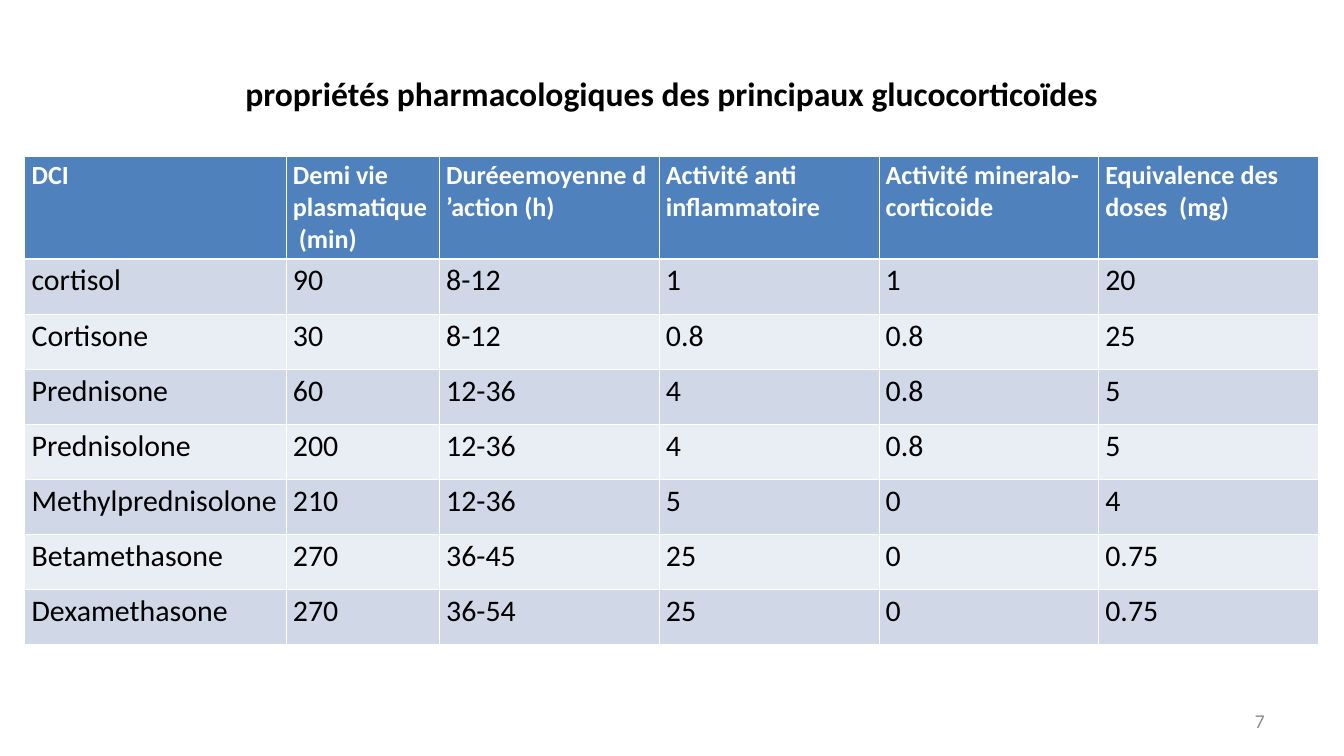
from dataclasses import dataclass

from lxml import etree
from pptx import Presentation
from pptx.dml.color import RGBColor
from pptx.enum.text import MSO_ANCHOR, MSO_AUTO_SIZE, PP_ALIGN
from pptx.oxml.ns import qn
from pptx.util import Inches, Pt

MIDDLE = MSO_ANCHOR.MIDDLE
NO_FIT = MSO_AUTO_SIZE.NONE
LEFT, CENTER, RIGHT = PP_ALIGN.LEFT, PP_ALIGN.CENTER, PP_ALIGN.RIGHT

GRID_COLUMNS = 20  # the slide is 20 square units wide


@dataclass(frozen=True)
class Theme:
    font: str = "Calibri"
    ink: str = "000000"
    paper: str = "FFFFFF"
    muted: str = "8C8C8C"
    header: str = "4F81BD"
    bands: tuple = ("D0D8E8", "E9EDF4")
    title_size: int = 36
    header_size: int = 28
    body_size: int = 32
    number_size: int = 21
    rule: int = 1
    header_rule: int = 3


class SlideBuilder:
    def __init__(self, deck, theme):
        self.theme = theme
        self.unit = deck.slide_width / GRID_COLUMNS
        self.slide = deck.slides.add_slide(deck.slide_layouts[5])

    def span(self, units):
        return round(units * self.unit)

    def set_text(self, frame, text, size, color, bold=False, align=LEFT):
        frame.text = text
        paragraph = frame.paragraphs[0]
        paragraph.alignment = align
        font = paragraph.font
        font.name, font.size, font.bold = self.theme.font, Pt(size), bold
        font.color.rgb = RGBColor.from_string(color)

    def inset(self, frame):
        frame.word_wrap = True
        frame.auto_size = NO_FIT
        frame.vertical_anchor = MIDDLE
        frame.margin_left = frame.margin_right = self.span(0.18)
        frame.margin_top = frame.margin_bottom = self.span(0.09)

    def title(self, text, left, top, width, height):
        heading = self.slide.shapes.title
        heading.left, heading.top = self.span(left), self.span(top)
        heading.width, heading.height = self.span(width), self.span(height)
        self.inset(heading.text_frame)
        self.set_text(heading.text_frame, text, self.theme.title_size,
                      self.theme.ink, bold=True, align=CENTER)

    def page_number(self, text, left, top, width, height):
        box = self.slide.shapes.add_textbox(
            *map(self.span, (left, top, width, height)))
        self.inset(box.text_frame)
        self.set_text(box.text_frame, text, self.theme.number_size,
                      self.theme.muted, align=RIGHT)

    def border(self, cell, side, points):
        line = etree.SubElement(cell._tc.get_or_add_tcPr(), qn(f"a:ln{side}"),
                                w=str(Pt(points)))
        fill = etree.SubElement(line, qn("a:solidFill"))
        etree.SubElement(fill, qn("a:srgbClr"), val=self.theme.paper)

    def table(self, rows, left, top, widths, heights):
        theme = self.theme
        table = self.slide.shapes.add_table(
            len(rows), len(widths), self.span(left), self.span(top),
            self.span(sum(widths)), self.span(sum(heights))).table
        for column, width in zip(table.columns, widths):
            column.width = self.span(width)
        for r, (values, height) in enumerate(zip(rows, heights)):
            table.rows[r].height = self.span(height)
            is_header = r == 0
            fill = theme.header if is_header else theme.bands[(r - 1) % 2]
            size = theme.header_size if is_header else theme.body_size
            color = theme.paper if is_header else theme.ink
            # The heavier rule lies between the header and the first drug
            rules = {"L": theme.rule, "R": theme.rule,
                     "T": theme.header_rule if r == 1 else theme.rule,
                     "B": theme.header_rule if is_header else theme.rule}
            for c, value in enumerate(values):
                cell = table.cell(r, c)
                for side, points in rules.items():
                    self.border(cell, side, points)
                cell.fill.solid()
                cell.fill.fore_color.rgb = RGBColor.from_string(fill)
                self.set_text(cell.text_frame, value, size, color,
                              bold=is_header)


GLUCOCORTICOIDS = [
    ("DCI", "Demi vie plasmatique  (min)", "Duréeemoyenne d ’action (h)",
     "Activité anti inflammatoire", "Activité mineralo-corticoide",
     "Equivalence des doses  (mg)"),
    ("cortisol", "90", "8-12", "1", "1", "20"),
    ("Cortisone", "30", "8-12", "0.8", "0.8", "25"),
    ("Prednisone", "60", "12-36", "4", "0.8", "5"),
    ("Prednisolone", "200", "12-36", "4", "0.8", "5"),
    ("Methylprednisolone", "210", "12-36", "5", "0", "4"),
    ("Betamethasone", "270", "36-45", "25", "0", "0.75"),
    ("Dexamethasone", "270", "36-54", "25", "0", "0.75"),
]


def main():
    deck = Presentation()
    deck.slide_width, deck.slide_height = Inches(20), Inches(11.25)
    page = SlideBuilder(deck, Theme())

    # Heading
    page.title("propriétés pharmacologiques des principaux glucocorticoïdes",
               1, 0.45, 18, 1.88)

    # Drug comparison: one header row, then equal rows
    drug_count = len(GLUCOCORTICOIDS) - 1
    page.table(GLUCOCORTICOIDS, 0.37, 2.33,
               widths=[3.89, 2.28] + [3.27] * 4,
               heights=[1.5] + [0.82] * drug_count)

    # Footer
    page.page_number("7", 14.33, 10.43, 4.67, 0.6)

    deck.save("out.pptx")


if __name__ == "__main__":
    main()
